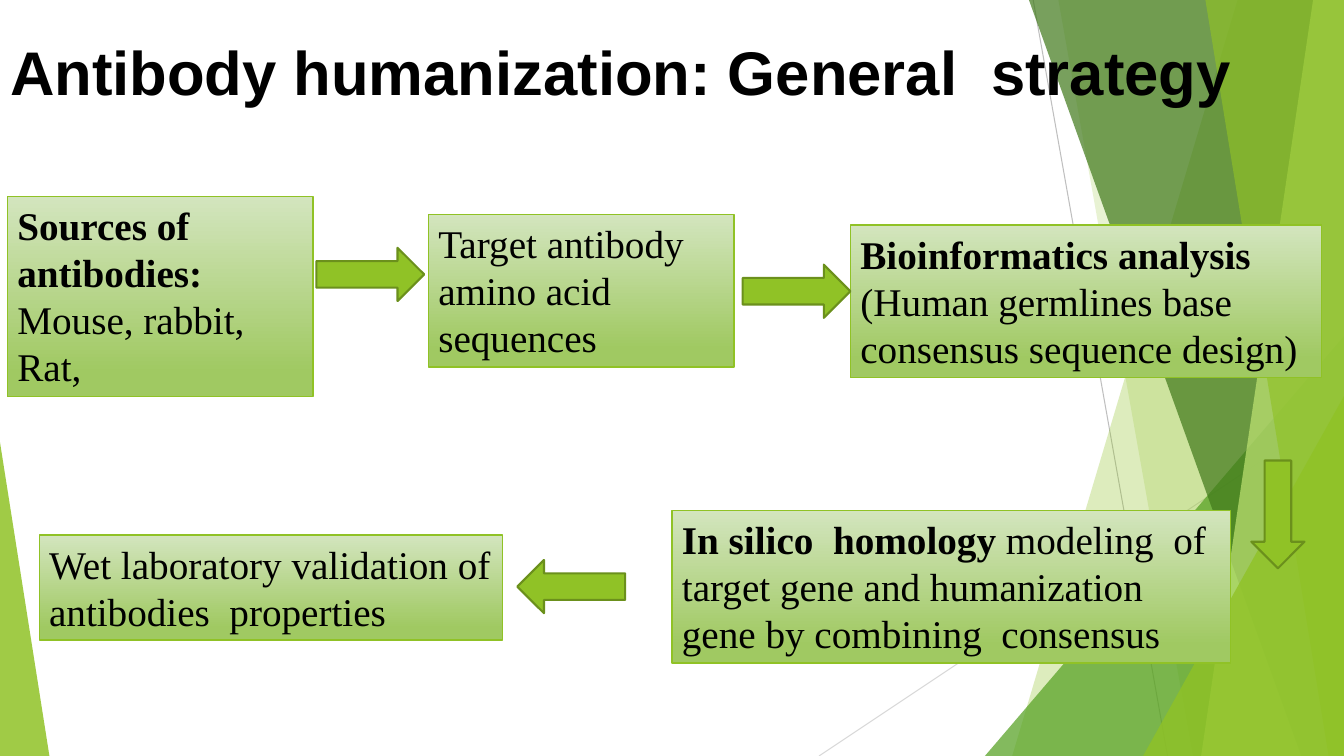
from dataclasses import dataclass

from lxml.etree import SubElement
from pptx import Presentation
from pptx.dml.color import RGBColor
from pptx.enum.shapes import MSO_CONNECTOR, MSO_SHAPE
from pptx.enum.text import MSO_ANCHOR, MSO_AUTO_SIZE, PP_ALIGN
from pptx.oxml.ns import qn
from pptx.util import Pt

WIDTH, HEIGHT = 960, 540
GREEN, DARK_GREEN, BLACK = "90C226", "6B901C", "000000"


@dataclass
class Wedge:
    """Band from a slanted left edge to the right side of the slide."""
    top_x: float
    bottom_x: float
    color: str
    opacity: int


@dataclass
class Corner:
    """Triangle standing on the bottom edge; apex 0 is left, 1 is right."""
    left: float
    width: float
    height: float
    apex: float
    color: str
    opacity: int


@dataclass
class Step:
    left: float
    top: float
    width: float
    height: float
    bold: str
    plain: str


@dataclass
class Arrow:
    left: float
    top: float
    rotation: int = 0


RAYS = [((738, 0), (834, HEIGHT), "BFBFBF"), ((WIDTH, 290), (585, HEIGHT), "D9D9D9")]
DECOR = [
    Wedge(884, 723, GREEN, 30),
    Wedge(756, 852, GREEN, 20),
    Corner(703.5, 256.5, 300, 1, "54A021", 72),
    Wedge(735, 929.5, "3F7819", 70),
    Wedge(938, 858, "C0E474", 70),
    Wedge(861, 949, GREEN, 65),
    Corner(816.5, 143.5, 257, 1, GREEN, 80),
    Corner(0, 35.3, 224, 0, GREEN, 85),
]
STEPS = [
    Step(5.3, 140.4, 218.4, 143, "Sources of antibodies: ", "Mouse, rabbit, Rat,"),
    Step(306, 153.2, 218.4, 109, "", "Target antibody amino acid sequences"),
    Step(607.5, 160.7, 336.6, 109, "Bioinformatics analysis ",
         "(Human germlines base consensus sequence design)"),
    Step(480, 364.6, 398.8, 109, "In silico  homology ",
         "modeling  of target gene and humanization gene by combining  consensus"),
    Step(28, 382.3, 331, 75, "",
         "Wet laboratory validation of antibodies  properties"),
]
ARROWS = [Arrow(226, 177), Arrow(369.5, 400, 180), Arrow(874.3, 348.5, 90),
          Arrow(530.5, 189)]


def rgb(color: str) -> RGBColor:
    return RGBColor.from_string(color)


def fill_decor(shape, color: str, opacity: int) -> None:
    shape.shadow.inherit = False
    shape.line.fill.background()
    shape.fill.solid()
    shape.fill.fore_color.rgb = rgb(color)
    color_node = shape.fill._xPr.find(qn("a:solidFill"))[0]
    SubElement(color_node, qn("a:alpha")).set("val", str(opacity * 1000))


def add_ray(page, start: tuple, end: tuple, color: str) -> None:
    ray = page.shapes.add_connector(
        MSO_CONNECTOR.STRAIGHT, *(Pt(value) for value in start + end))
    ray.line.color.rgb = rgb(color)
    ray.line.width = Pt(0.75)
    SubElement(ray._element.spPr, qn("a:effectLst"))


def add_wedge(page, wedge: Wedge) -> None:
    builder = page.shapes.build_freeform(Pt(wedge.top_x), 0)
    corners = [(WIDTH, 0), (WIDTH, HEIGHT), (wedge.bottom_x, HEIGHT)]
    builder.add_line_segments([(Pt(x), Pt(y)) for x, y in corners], close=True)
    fill_decor(builder.convert_to_shape(), wedge.color, wedge.opacity)


def add_corner(page, corner: Corner) -> None:
    shape = page.shapes.add_shape(
        MSO_SHAPE.ISOSCELES_TRIANGLE, Pt(corner.left), Pt(HEIGHT - corner.height),
        Pt(corner.width), Pt(corner.height))
    shape.adjustments[0] = corner.apex
    fill_decor(shape, corner.color, corner.opacity)


def add_span(para, text: str, font: str, size: float, bold: bool) -> None:
    span = para.add_run()
    span.text = text
    span.font.name = font
    span.font.size = Pt(size)
    span.font.bold = bold
    span.font.color.rgb = rgb(BLACK)


def set_frame(frame) -> None:
    frame.word_wrap = True
    frame.auto_size = MSO_AUTO_SIZE.NONE
    frame.vertical_anchor = MSO_ANCHOR.TOP
    frame.paragraphs[0].alignment = PP_ALIGN.LEFT


def add_step(page, step: Step) -> None:
    box = page.shapes.add_shape(MSO_SHAPE.RECTANGLE, Pt(step.left), Pt(step.top),
                                Pt(step.width), Pt(step.height))
    box.shadow.inherit = False
    box.line.color.rgb = rgb(GREEN)
    box.line.width = Pt(1)
    box.fill.gradient()
    box.fill.gradient_angle = 270
    stops = [(0, "D3E5BE"), (0.88, "A0C962")]
    for stop, (position, color) in zip(box.fill.gradient_stops, stops):
        stop.position = position
        stop.color.rgb = rgb(color)
    set_frame(box.text_frame)
    para = box.text_frame.paragraphs[0]
    para.line_spacing = Pt(33.6)
    for text, bold in ((step.bold, True), (step.plain, False)):
        if text:
            add_span(para, text, "Times New Roman", 28, bold)


def add_arrow(page, arrow: Arrow) -> None:
    shape = page.shapes.add_shape(MSO_SHAPE.RIGHT_ARROW, Pt(arrow.left),
                                  Pt(arrow.top), Pt(77), Pt(38))
    shape.rotation = arrow.rotation
    shape.shadow.inherit = False
    shape.fill.solid()
    shape.fill.fore_color.rgb = rgb(GREEN)
    shape.line.color.rgb = rgb(DARK_GREEN)
    shape.line.width = Pt(1.5)


deck = Presentation()
deck.slide_width, deck.slide_height = Pt(WIDTH), Pt(HEIGHT)
page = deck.slides.add_slide(deck.slide_layouts[5])

# Background rays and facets
for ray in RAYS:
    add_ray(page, *ray)
for part in DECOR:
    if isinstance(part, Wedge):
        add_wedge(page, part)
    else:
        add_corner(page, part)

# Title, brought in front of the facets
title = page.shapes.title
title.left, title.top, title.width, title.height = Pt(0), Pt(26.6), Pt(916), Pt(90)
set_frame(title.text_frame)
heading = title.text_frame.paragraphs[0]
heading.line_spacing = 0.9
add_span(heading, "Antibody humanization: General  strategy", "Arial", 44, True)
page.shapes._spTree.append(title._element)

# Workflow steps and the arrows between them
for step in STEPS:
    add_step(page, step)
for arrow in ARROWS:
    add_arrow(page, arrow)

deck.save("out.pptx")
